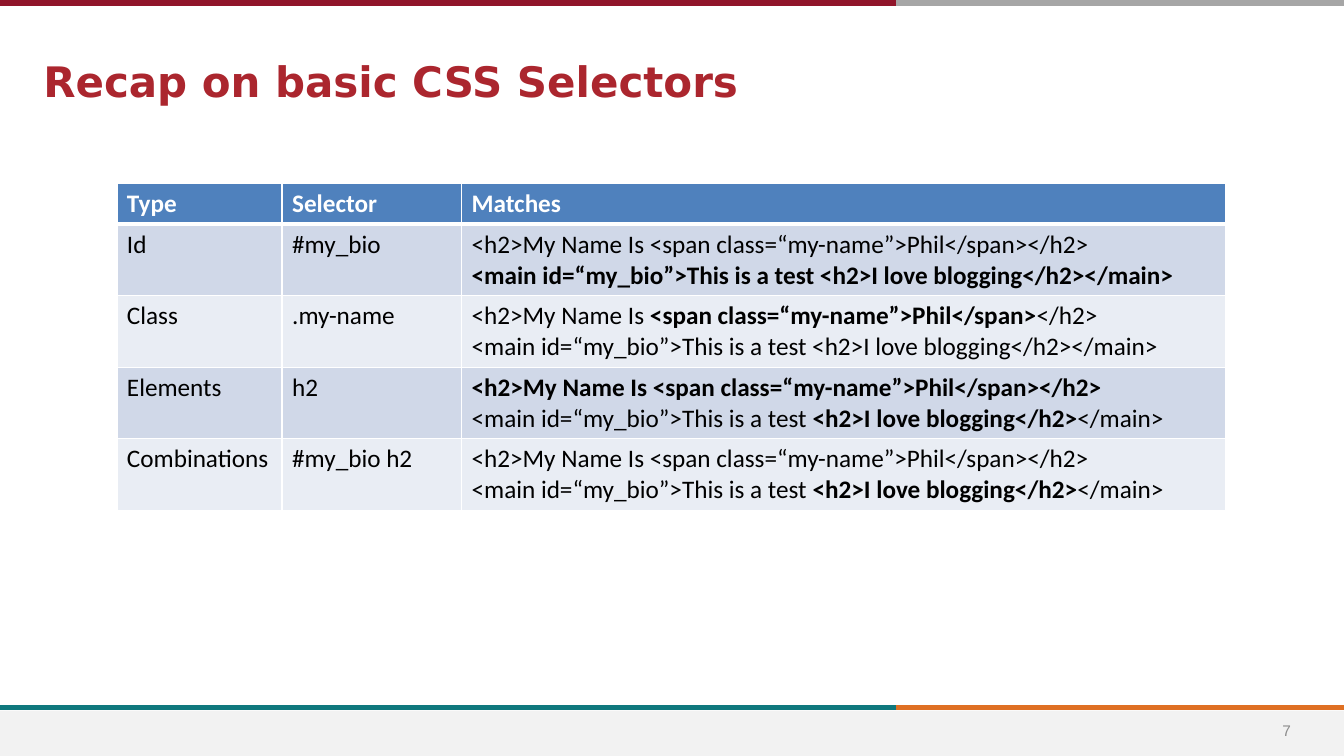
"""Build a slide that recaps basic CSS selectors in a table."""
import pptx
import pptx.dml.color
import pptx.enum.shapes
import pptx.enum.text
import pptx.oxml
import pptx.oxml.ns
import pptx.util

Pt = pptx.util.Pt
RGB = pptx.dml.color.RGBColor
ALIGN = pptx.enum.text.PP_ALIGN
ANCHOR = pptx.enum.text.MSO_ANCHOR

WHITE = RGB(0xFF, 0xFF, 0xFF)
BLACK = RGB(0x00, 0x00, 0x00)
CRIMSON = RGB(0x90, 0x15, 0x2A)
TITLE_RED = RGB(0xAB, 0x26, 0x2E)
TEAL = RGB(0x0F, 0x78, 0x7D)
ORANGE = RGB(0xDF, 0x70, 0x23)
GREY = RGB(0xA6, 0xA6, 0xA6)
NUMBER_GREY = RGB(0x8C, 0x8C, 0x8C)
FOOTER_GREY = RGB(0xF2, 0xF2, 0xF2)
HEADER_BLUE = RGB(0x4F, 0x81, 0xBD)
BANDS = [RGB(0xD0, 0xD8, 0xE8), RGB(0xE9, 0xED, 0xF4)]

WIDTH, HEIGHT, SPLIT = 960, 540, 640
RULES = [(2.2, CRIMSON, GREY), (505.4, TEAL, ORANGE)]
COLUMNS = [118, 128.2, 545.8]
HEADER_HEIGHT, ROW_HEIGHT = 29.2, 51.1

NAME = "<span class=“my-name”>Phil</span>"
HEADING = "<h2>I love blogging</h2>"
MAIN = "<main id=“my_bio”>This is a test "
PLAIN_NAME = f"<h2>My Name Is {NAME}</h2>"
BOLD_HEADING = f"{MAIN}*{HEADING}*</main>"
ROWS = [
    ["*Type*", "*Selector*", "*Matches*"],
    ["Id", "#my_bio", f"{PLAIN_NAME}\n*{MAIN}{HEADING}</main>*"],
    ["Class", ".my-name", f"<h2>My Name Is *{NAME}*</h2>\n{MAIN}{HEADING}</main>"],
    ["Elements", "h2", f"*{PLAIN_NAME}*\n{BOLD_HEADING}"],
    ["Combinations", "#my_bio h2", f"{PLAIN_NAME}\n{BOLD_HEADING}"],
]


class SlideBuilder:
    """Hold the text styles and the current slide."""

    styles = {
        "title": {"name": "DejaVu Sans", "size": Pt(30), "bold": True},
        "number": {"name": "Arial", "size": Pt(11)},
        "table": {"name": "Calibri", "size": Pt(18)},
    }

    def __init__(self, prs):
        """Add a blank slide."""
        self.s = prs.slides.add_slide(prs.slide_layouts[6])

    def fill_text(self, tf, text, style, color, align=ALIGN.LEFT):
        """Add one paragraph per line, with bold between asterisks."""
        for i, line in enumerate(text.split("\n")):
            p = tf.paragraphs[0] if i == 0 else tf.add_paragraph()
            p.alignment = align
            for j, part in enumerate(line.split("*")):
                if part:
                    r = p.add_run()
                    r.text = part
                    font = {"bold": j % 2 == 1} | self.styles[style]
                    for key, value in font.items():
                        setattr(r.font, key, value)
                    r.font.color.rgb = color

    def text(self, box, text, style, color, align=ALIGN.LEFT, **frame):
        """Add a wrapped text box."""
        tf = self.s.shapes.add_textbox(*map(Pt, box)).text_frame
        for key, value in ({"word_wrap": True} | frame).items():
            setattr(tf, key, value)
        self.fill_text(tf, text, style, color, align)

    def rect(self, box, color):
        """Add a plain filled rectangle."""
        kind = pptx.enum.shapes.MSO_SHAPE.RECTANGLE
        sp = self.s.shapes.add_shape(kind, *map(Pt, box))
        sp.shadow.inherit = False
        sp.fill.solid()
        sp.fill.fore_color.rgb = color
        sp.line.fill.background()

    def rule(self, x1, x2, y, color):
        """Add a horizontal line."""
        kind = pptx.enum.shapes.MSO_CONNECTOR.STRAIGHT
        line = self.s.shapes.add_connector(kind, Pt(x1), Pt(y), Pt(x2), Pt(y))
        line.line.width = Pt(4)
        line.line.color.rgb = color
        line._element.spPr.append(pptx.oxml.parse_xml(
            f'<a:effectLst {pptx.oxml.ns.nsdecls("a")}/>'))

    def borders(self, cell, **widths):
        """Give a cell white borders, one point unless a width is named."""
        tc_pr = cell._tc.get_or_add_tcPr()
        for i, side in enumerate("LRTB"):
            tc_pr.insert(i, pptx.oxml.parse_xml(
                f'<a:ln{side} {pptx.oxml.ns.nsdecls("a")} w="{Pt(widths.get(side, 1))}">'
                f'<a:solidFill><a:srgbClr val="{WHITE}"/></a:solidFill></a:ln{side}>'))

    def table(self, x, y, columns, rows):
        """Add a table with a header row and banded body rows."""
        heights = [HEADER_HEIGHT] + [ROW_HEIGHT] * (len(rows) - 1)
        box = (x, y, sum(columns), sum(heights))
        table = self.s.shapes.add_table(len(rows), len(columns), *map(Pt, box)).table
        for column, width in zip(table.columns, columns):
            column.width = Pt(width)
        for i, (texts, height) in enumerate(zip(rows, heights)):
            table.rows[i].height = Pt(height)
            for j, text in enumerate(texts):
                cell = table.cell(i, j)
                cell.fill.solid()
                cell.fill.fore_color.rgb = BANDS[(i - 1) % 2] if i else HEADER_BLUE
                self.borders(cell, **({0: {"B": 3}, 1: {"T": 3}}.get(i, {})))
                self.fill_text(cell.text_frame, text, "table", BLACK if i else WHITE)


def main():
    """Build and save the presentation."""
    prs = pptx.Presentation()
    prs.slide_width, prs.slide_height = Pt(WIDTH), Pt(HEIGHT)
    slide = SlideBuilder(prs)
    slide.rect((0, 507.6, WIDTH, 32.4), FOOTER_GREY)
    for y, left, right in RULES:
        slide.rule(SPLIT, WIDTH, y, right)
        slide.rule(0, SPLIT, y, left)
    slide.text((894.2, 507.6, 49.7, 28.8), "7", "number", NUMBER_GREY,
               ALIGN.CENTER, vertical_anchor=ANCHOR.MIDDLE)
    slide.text((23.8, 33.1, 766.8, 42.5), "Recap on basic CSS Selectors", "title",
               TITLE_RED, margin_top=Pt(6.3), margin_bottom=0)
    slide.table(83.5, 131, COLUMNS, ROWS)
    prs.save("out.pptx")


if __name__ == "__main__":
    main()
